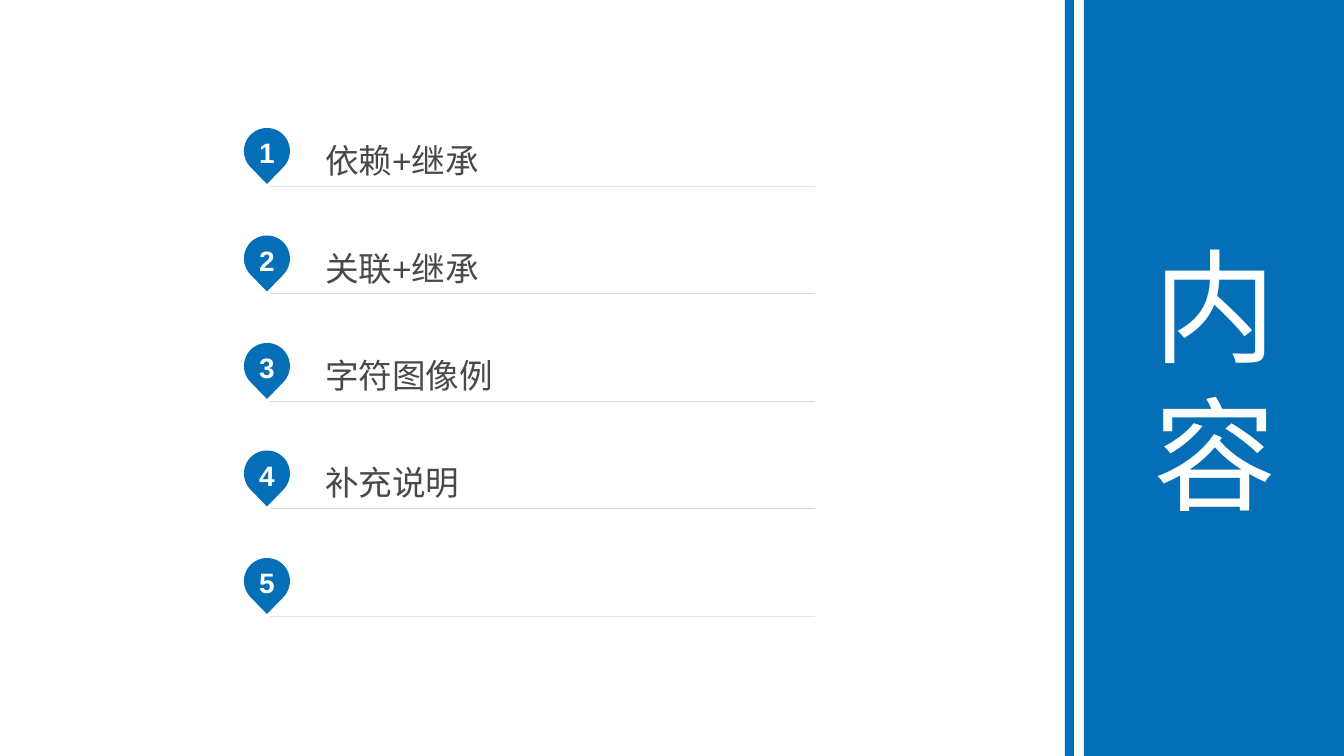
from lxml.etree import Element
from pptx import Presentation
from pptx.dml.color import RGBColor
from pptx.enum.lang import MSO_LANGUAGE_ID as Language
from pptx.enum.shapes import MSO_SHAPE as Shape
from pptx.enum.text import MSO_ANCHOR as Anchor, PP_ALIGN as Align
from pptx.oxml.ns import qn
from pptx.util import Pt

TITLE = "内容"
TOPICS = ["依赖+继承", "关联+继承", "字符图像例", "补充说明", ""]

BLUE, GRAY, INK, WHITE = "046FB6", "D7D7D7", "47494B", "FFFFFF"
PAGE_SIZE = (1344, 756)
FIRST_TOP, LAST_TOP = 128, 558
PIN_CENTER, PIN_RADIUS, PIN_HEIGHT = 267, 23, 56
RULE_LEFT, RULE_RIGHT = 270, 815
LABEL_DROP, LABEL_HEIGHT = 2, 56
# left, top, width, height, text
STRIPES = [(1084, 0, 262, 756, TITLE), (1065, -2, 9, 758, "")]


def px(length):
    return round(length * 914400 / 100.8)


def color(value):
    return RGBColor.from_string(value)


def write(shape, text, size, ink=WHITE, bold=False, align=Align.CENTER,
          spacing=1.0, insets=(10, 5, 10, 5)):
    """Put one paragraph in a shape; insets run left, top, right, bottom."""
    frame = shape.text_frame
    frame.word_wrap = True
    frame.vertical_anchor = Anchor.MIDDLE
    (frame.margin_left, frame.margin_top,
     frame.margin_right, frame.margin_bottom) = map(px, insets)
    para = frame.paragraphs[0]
    para.alignment = align
    para.line_spacing = spacing
    span = para.add_run()
    span.text = text
    font = span.font
    font.name, font.size, font.bold = "Arial", Pt(size), bold
    font.color.rgb = color(ink)
    font.language_id = Language.SIMPLIFIED_CHINESE


def paint(shape):
    shape.shadow.inherit = False
    shape.fill.solid()
    shape.fill.fore_color.rgb = color(BLUE)
    shape.line.fill.background()


def round_head(pin):
    """Keep the first side of the pin and swap the rest for one arc."""
    sides = list(pin._element.iter(qn("a:lnTo")))
    radius = str(px(PIN_RADIUS))
    arc = Element(qn("a:arcTo"), wR=radius, hR=radius,
                  stAng=str(135 * 60000), swAng=str(270 * 60000))
    sides[0].addnext(arc)
    for side in sides[1:]:
        side.getparent().remove(side)


def add_pin(page, top, number):
    middle = top + PIN_RADIUS
    slant = PIN_RADIUS * 0.5 ** 0.5
    corners = [(-slant, slant), (-PIN_RADIUS, 0), (0, -PIN_RADIUS),
               (PIN_RADIUS, 0), (slant, slant)]
    outline = page.shapes.build_freeform(px(PIN_CENTER), px(top + PIN_HEIGHT))
    outline.add_line_segments(
        [(px(PIN_CENTER + x), px(middle + y)) for x, y in corners])
    pin = outline.convert_to_shape()
    round_head(pin)
    paint(pin)
    write(pin, str(number), 20, bold=True, insets=(10, 5, 10, 12))


def add_topic(page, top, topic):
    """Draw a rule whose outline reaches up to hold the topic above it."""
    left, right = px(RULE_LEFT), px(RULE_RIGHT)
    label_top = px(top + LABEL_DROP)
    bottom = px(top + LABEL_DROP + LABEL_HEIGHT)
    outline = page.shapes.build_freeform(left, bottom)
    outline.add_line_segments([(right, bottom)])
    outline.move_to(left, label_top)
    outline.add_line_segments([(left, label_top)])
    label = outline.convert_to_shape()
    label.shadow.inherit = False
    label.fill.background()
    label.line.color.rgb = color(GRAY)
    label.line.width = Pt(0.25)
    if topic:
        write(label, topic, 24, ink=INK, align=Align.LEFT, spacing=1.2,
              insets=(55, 0, 0, 4))


def main():
    deck = Presentation()
    deck.slide_width, deck.slide_height = map(px, PAGE_SIZE)
    page = deck.slides.add_slide(deck.slide_layouts[6])

    pitch = (LAST_TOP - FIRST_TOP) / (len(TOPICS) - 1)
    for row, topic in enumerate(TOPICS):
        top = FIRST_TOP + row * pitch
        add_pin(page, top, row + 1)
        add_topic(page, top, topic)

    for *frame, text in STRIPES:
        stripe = page.shapes.add_shape(Shape.RECTANGLE, *map(px, frame))
        paint(stripe)
        if text:
            write(stripe, text, 88)

    deck.save("out.pptx")


if __name__ == "__main__":
    main()
